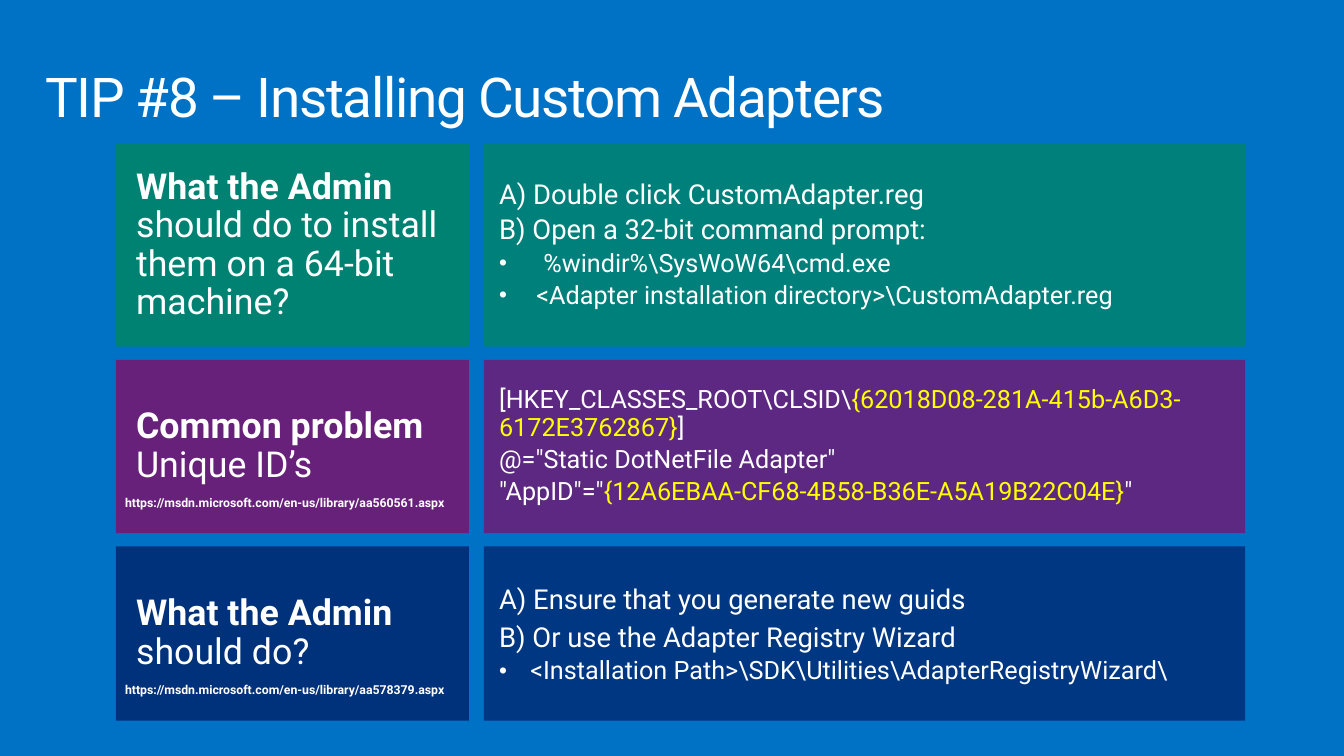
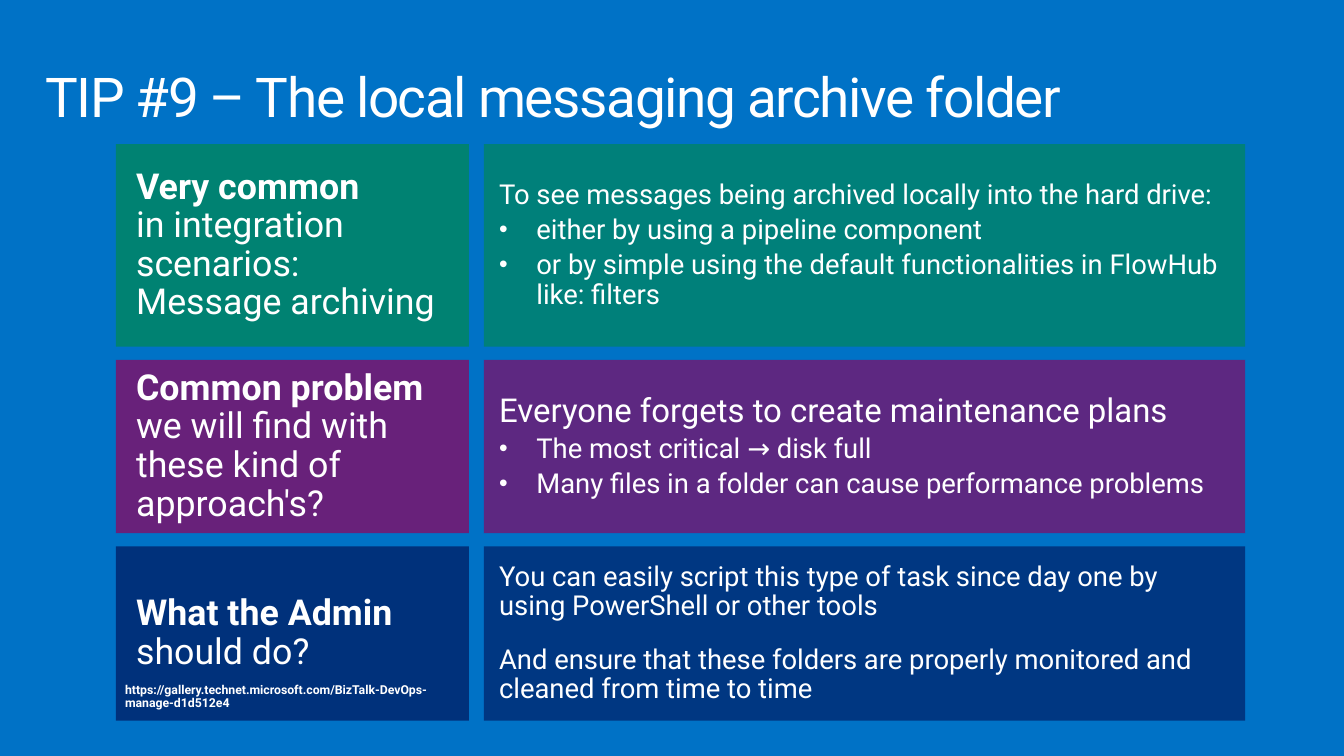
"""Builds two tip slides, each a title above three rows of question and answer."""
from dataclasses import dataclass
from itertools import accumulate

from lxml import etree
from pptx import Presentation
from pptx.dml.color import RGBColor
from pptx.enum.shapes import MSO_SHAPE
from pptx.enum.text import MSO_ANCHOR, MSO_AUTO_SIZE, PP_ALIGN
from pptx.oxml.ns import qn
from pptx.util import Inches, Pt

RECTANGLE = MSO_SHAPE.RECTANGLE
TOP, MIDDLE = MSO_ANCHOR.TOP, MSO_ANCHOR.MIDDLE
NO_AUTOFIT = MSO_AUTO_SIZE.NONE
LEFT = PP_ALIGN.LEFT
COMPARISON_LAYOUT = 4


@dataclass(frozen=True)
class Theme:
    font: str = "Roboto"
    background: str = "0072C6"
    text: str = "FFFFFF"
    highlight: str = "FFFF00"
    rows: tuple = ("008272", "68217A", "00317B")
    answer_opacity: int = 90
    title_size: float = 39.2
    question_size: float = 25.5
    lead_size: float = 23.5
    body_size: float = 19.6
    detail_size: float = 18
    link_size: float = 8.8
    tight: float = 0.9


@dataclass(frozen=True)
class Grid:
    width: float = 13.33
    height: float = 7.5
    lefts: tuple = (1.15, 4.8)
    widths: tuple = (3.5, 7.55)
    top: float = 1.43
    heights: tuple = (2.01, 1.72, 1.73)
    gap: float = 0.13

    def cell(self, column, row):
        """Return left, top, width and height of a cell."""
        tops = list(accumulate((h + self.gap for h in self.heights), initial=self.top))
        return self.lefts[column], tops[row], self.widths[column], self.heights[row]


THEME = Theme()
GRID = Grid()


@dataclass(frozen=True)
class Line:
    """A paragraph whose pieces alternate between plain and highlighted."""
    pieces: tuple
    size: float = THEME.body_size
    indent: float = 0
    spacing: float = THEME.tight
    before: float = 0.2


def line(*pieces, **style):
    """Return a line made of the given pieces."""
    return Line(pieces, **style)


def bullet(text, size=THEME.body_size, indent=0.37):
    """Return a bulleted line."""
    return Line((text,), size, indent)


class Deck:
    """Holds the style, the presentation and the current slide."""

    def __init__(self, theme, grid):
        self.theme, self.grid = theme, grid
        self.presentation = Presentation()
        self.presentation.slide_width = Inches(grid.width)
        self.presentation.slide_height = Inches(grid.height)
        fill = self.presentation.slide_master.background.fill
        fill.solid()
        fill.fore_color.rgb = RGBColor.from_string(theme.background)
        self.slide = None

    def add_slide(self, title, rows):
        """Add a slide with its title and its rows."""
        layout = self.presentation.slide_layouts[COMPARISON_LAYOUT]
        self.slide = self.presentation.slides.add_slide(layout)
        self.title(title)
        bodies = list(self.slide.placeholders)[1:]
        for index, (question, link, lines) in enumerate(rows):
            self.answer(bodies[index], index, lines)
            self.question(index, question)
            if link:
                self.link(index, link)
        for spare in bodies[len(rows):]:
            spare.element.getparent().remove(spare.element)

    def place(self, shape, left, top, width, height):
        """Move and size a shape."""
        shape.left, shape.top = Inches(left), Inches(top)
        shape.width, shape.height = Inches(width), Inches(height)

    def frame(self, shape, anchor, margins):
        """Prepare and return the text frame of a shape."""
        frame = shape.text_frame
        frame.word_wrap = True
        frame.auto_size = NO_AUTOFIT
        frame.vertical_anchor = anchor
        (frame.margin_left, frame.margin_top,
         frame.margin_right, frame.margin_bottom) = map(Inches, margins)
        return frame

    def paint(self, shape, row):
        """Fill a shape with the colour of its row."""
        shape.fill.solid()
        shape.fill.fore_color.rgb = RGBColor.from_string(self.theme.rows[row])

    def format(self, run, size, bold=False, color=None):
        """Apply the font of the theme to a run."""
        run.font.name = self.theme.font
        run.font.size = Pt(size)
        run.font.bold = bold
        run.font.color.rgb = RGBColor.from_string(color or self.theme.text)

    def title(self, text):
        """Write the slide title."""
        shape = self.slide.shapes.title
        self.place(shape, 0.29, 0.32, 12.75, 0.98)
        frame = self.frame(shape, TOP, (0.16, 0.1, 0.16, 0.1))
        frame.text = text
        paragraph = frame.paragraphs[0]
        paragraph.alignment = LEFT
        paragraph.line_spacing = Pt(61.8)
        run = paragraph.runs[0]
        self.format(run, self.theme.title_size)
        run._r.get_or_add_rPr().set("spc", "-100")

    def question(self, row, text):
        """Draw the card on the left, with its first line in bold."""
        shape = self.slide.shapes.add_shape(
            RECTANGLE, *map(Inches, self.grid.cell(0, row)))
        shape.shadow.inherit = False
        shape.line.fill.background()
        self.paint(shape, row)
        frame = self.frame(shape, MIDDLE, (0.2, 0.11, 0.2, 0.11))
        paragraph = frame.paragraphs[0]
        paragraph.text = text
        paragraph.alignment = LEFT
        paragraph.line_spacing = self.theme.tight
        for index, run in enumerate(paragraph.runs):
            self.format(run, self.theme.question_size, bold=index == 0)

    def link(self, row, text):
        """Write the web address at the foot of a card."""
        left, top, width, _ = self.grid.cell(0, row)
        shape = self.slide.shapes.add_textbox(
            *map(Inches, (left - 0.11, top + 1.28, width + 0.25, 0.45)))
        frame = self.frame(shape, TOP, (0.2, 0.08, 0.2, 0.08))
        frame.text = text
        paragraph = frame.paragraphs[0]
        paragraph.line_spacing = self.theme.tight
        self.format(paragraph.runs[0], self.theme.link_size, bold=True)

    def answer(self, shape, row, lines):
        """Fill a body placeholder with the list on the right."""
        self.place(shape, *self.grid.cell(1, row))
        self.paint(shape, row)
        color = shape.element.spPr.find(".//" + qn("a:srgbClr"))
        etree.SubElement(color, qn("a:alpha"), val=str(self.theme.answer_opacity * 1000))
        frame = self.frame(shape, MIDDLE, (0.15, 0, 0.2, 0))
        for index, content in enumerate(lines):
            paragraph = frame.add_paragraph() if index else frame.paragraphs[0]
            self.mark(paragraph, content.indent)
            paragraph.alignment = LEFT
            paragraph.line_spacing = content.spacing
            paragraph.space_before = Pt(round(content.size * content.before, 1) if index else 0)
            for number, piece in enumerate(content.pieces):
                run = paragraph.add_run()
                run.text = piece
                tint = self.theme.highlight if number % 2 else self.theme.text
                self.format(run, content.size, color=tint)

    def mark(self, paragraph, indent):
        """Give a paragraph a bullet, or none when it has no indent."""
        properties = paragraph._p.get_or_add_pPr()
        properties.set("marL", str(Inches(indent)))
        properties.set("indent", str(-Inches(indent)))
        if indent:
            etree.SubElement(properties, qn("a:buSzPct"), val="90000")
            etree.SubElement(properties, qn("a:buFont"), typeface="Arial")
            etree.SubElement(properties, qn("a:buChar"), char="•")
        else:
            etree.SubElement(properties, qn("a:buNone"))


DETAIL = THEME.detail_size
ADMIN = "What the Admin\vshould do?"

ADAPTERS = (
    ("What the Admin\vshould do to install them on a 64-bit machine?", None, (
        line("A) Double click CustomAdapter.reg"),
        line("B) Open a 32-bit command prompt:"),
        bullet(r"%windir%\SysWoW64\cmd.exe", DETAIL, 0.44),
        bullet(r"<Adapter installation directory>\CustomAdapter.reg", DETAIL),
    )),
    ("Common problem\vUnique ID’s",
     "https://msdn.microsoft.com/en-us/library/aa560561.aspx", (
         line("[HKEY_CLASSES_ROOT\\CLSID\\",
              "{62018D08-281A-415b-A6D3-6172E3762867}", "]", size=DETAIL),
         line('@="Static DotNetFile Adapter"', size=DETAIL),
         line('"AppID"="', "{12A6EBAA-CF68-4B58-B36E-A5A19B22C04E}", '"', size=DETAIL),
     )),
    (ADMIN, "https://msdn.microsoft.com/en-us/library/aa578379.aspx", (
        line("A) Ensure that you generate new guids", spacing=1.0),
        line("B) Or use the Adapter Registry Wizard", spacing=1.0),
        bullet("<Installation Path>\\SDK\\Utilities\\AdapterRegistryWizard\\", DETAIL, 0.31),
    )),
)

ARCHIVE = (
    ("Very common\vin integration scenarios: Message archiving", None, (
        line("To see messages being archived locally into the hard drive:"),
        bullet("either by using a pipeline component"),
        bullet("or by simple using the default functionalities in FlowHub like: filters"),
    )),
    ("Common problem\vwe will find with these kind of approach's?", None, (
        line("Everyone forgets to create maintenance plans", size=THEME.lead_size),
        bullet("The most critical → disk full"),
        bullet("Many files in a folder can cause performance problems"),
    )),
    (ADMIN, "https://gallery.technet.microsoft.com/BizTalk-DevOps-manage-d1d512e4", (
        line("You can easily script this type of task since day one by using "
             "PowerShell or other tools"),
        line("And ensure that these folders are properly monitored and cleaned "
             "from time to time", before=0.87),
    )),
)


def main():
    """Build and save the slides."""
    deck = Deck(THEME, GRID)
    deck.add_slide("TIP #8 – Installing Custom Adapters", ADAPTERS)
    deck.add_slide("TIP #9 – The local messaging archive folder", ARCHIVE)
    deck.presentation.save("out.pptx")


if __name__ == "__main__":
    main()
